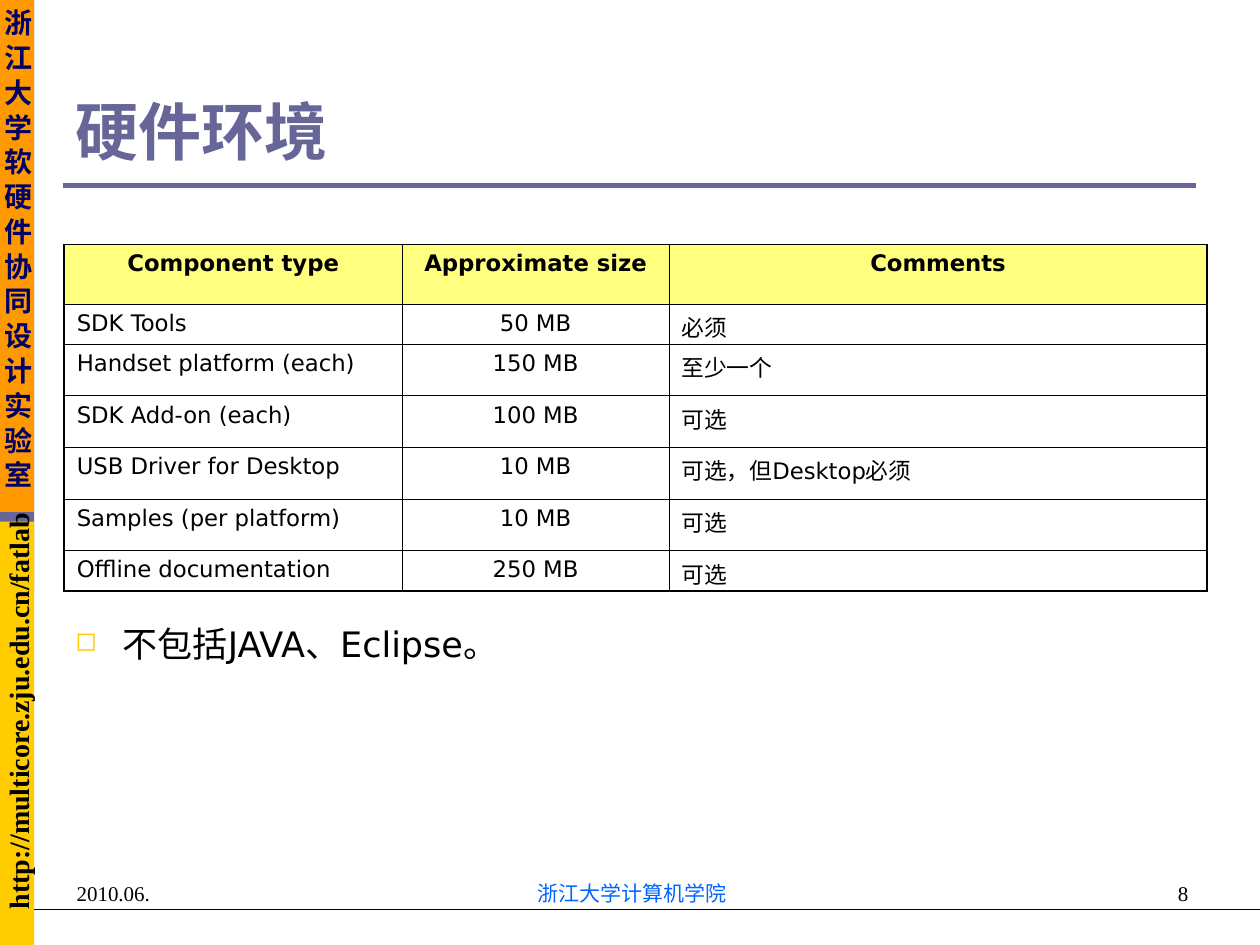
from lxml.etree import SubElement
from pptx import Presentation
from pptx.dml.color import RGBColor
from pptx.enum.shapes import MSO_CONNECTOR as Connector, MSO_SHAPE as Shape
from pptx.enum.text import MSO_ANCHOR as Anchor, PP_ALIGN as Align
from pptx.oxml import parse_xml
from pptx.oxml.ns import nsdecls, qn
from pptx.util import Pt

BLACK = RGBColor(0, 0, 0)
VIOLET = RGBColor(0x66, 0x66, 0x99)
GOLD = RGBColor(0xFF, 0xCC, 0x00)
ORANGE = RGBColor(0xFF, 0x99, 0x00)
NAVY = RGBColor(0, 0, 0x66)
BLUE = RGBColor(0, 0x66, 0xFF)
YELLOW = RGBColor(0xFF, 0xFF, 0)

SANS, SERIF = "DejaVu Sans", "Times New Roman"
INNER, OUTER = 0.45, 1.08
COLUMNS = [193, 152.6, 307.4]
ROWS = [34, 23, 29.5, 29.5, 29.5, 29.5, 23]
COMPONENTS = [
    ["Component type", "Approximate size", "Comments"],
    ["SDK Tools", "50 MB", "必须"],
    ["Handset platform (each)", "150 MB", "至少一个"],
    ["SDK Add-on (each)", "100 MB", "可选"],
    ["USB Driver for Desktop", "10 MB", "可选，但Desktop必须"],
    ["Samples (per platform)", "10 MB", "可选"],
    ["Offline documentation", "250 MB", "可选"],
]


def points(*values):
    """Convert numbers to lengths in points."""
    return [Pt(value) for value in values]


def write(frame, text, font, frame_format=None, align=Align.LEFT):
    """Put one formatted paragraph in a text frame and return it."""
    for name, value in (frame_format or {}).items():
        setattr(frame, name, value)
    para = frame.paragraphs[0]
    para.alignment = align
    span = para.add_run()
    span.text = text
    font = dict(font)
    span.font.color.rgb = font.pop("color", BLACK)
    for name, value in font.items():
        setattr(span.font, name, value)
    return para


def add_panel(page, place, color):
    """Add a plain filled rectangle."""
    panel = page.shapes.add_shape(Shape.RECTANGLE, *points(*place))
    panel.shadow.inherit = False
    panel.fill.solid()
    panel.fill.fore_color.rgb = color
    panel.line.fill.background()
    return panel


def add_rule(page, start, end, color, width):
    """Add a straight line."""
    rule = page.shapes.add_connector(Connector.STRAIGHT, *points(*start, *end))
    rule.line.color.rgb = color
    rule.line.width = Pt(width)
    SubElement(rule._element.spPr, qn("a:effectLst"))


def add_text(page, place, text, font, align=Align.LEFT, **frame_format):
    """Add a text box with one paragraph and return the box."""
    box = page.shapes.add_textbox(*points(*place))
    write(box.text_frame, text, font, {"word_wrap": True, **frame_format}, align)
    return box


def turn_text(shape, direction):
    """Set the writing direction of a shape's text."""
    shape.text_frame._txBody.bodyPr.set("vert", direction)


def add_bullet(para, symbol, color, percent, indent):
    """Give a paragraph a hanging bullet."""
    properties = para._p.get_or_add_pPr()
    properties.set("marL", str(Pt(indent)))
    properties.set("indent", str(Pt(-indent)))
    bullet_color = SubElement(properties, qn("a:buClr"))
    SubElement(bullet_color, qn("a:srgbClr"), val=str(color))
    SubElement(properties, qn("a:buSzPct"), val=str(percent * 1000))
    SubElement(properties, qn("a:buChar"), char=symbol)


def set_borders(cell, widths):
    """Draw the left, right, top and bottom borders of a cell."""
    properties = cell._tc.get_or_add_tcPr()
    for side, width in zip("LRTB", widths):
        properties.append(parse_xml(
            f'<a:ln{side} {nsdecls("a")} w="{Pt(width)}"><a:solidFill>'
            f'<a:srgbClr val="{BLACK}"/></a:solidFill></a:ln{side}>'))


def fill_cell(cell, is_header):
    """Give a header cell half-transparent yellow and others no fill."""
    if not is_header:
        cell.fill.background()
        return
    cell.fill.solid()
    cell.fill.fore_color.rgb = YELLOW
    color = cell._tc.tcPr.find(qn("a:solidFill")).find(qn("a:srgbClr"))
    SubElement(color, qn("a:alpha"), val="50000")


def add_components(page):
    """Add the table of component sizes."""
    place = points(36.7, 139.7, sum(COLUMNS), sum(ROWS))
    table = page.shapes.add_table(len(ROWS), len(COLUMNS), *place).table
    table.first_row = table.horz_banding = False
    for column, width in zip(table.columns, COLUMNS):
        column.width = Pt(width)
    last_row, last_column = len(ROWS) - 1, len(COLUMNS) - 1
    for row, height in enumerate(ROWS):
        table.rows[row].height = Pt(height)
        for column, text in enumerate(COMPONENTS[row]):
            cell = table.cell(row, column)
            is_header = row == 0
            edges = [column == 0, column == last_column, is_header, row == last_row]
            set_borders(cell, [OUTER if edge else INNER for edge in edges])
            fill_cell(cell, is_header)
            align = Align.CENTER if is_header or column == 1 else Align.LEFT
            font = {"name": SANS, "size": Pt(13), "bold": is_header}
            write(cell.text_frame, text, font, align=align)


def add_sidebar(page):
    """Add the coloured side strip with the laboratory name and address."""
    add_panel(page, (0, 0, 19.6, 337.7), VIOLET)
    add_panel(page, (0, 298, 19.6, 242), GOLD)
    add_rule(page, (36, 105.8), (683.3, 105.8), VIOLET, 3)
    banner = add_panel(page, (0, -2, 19.6, 294.5), ORANGE)
    margins = dict(margin_left=Pt(3.6), margin_right=Pt(3.6),
                   margin_top=Pt(7.2), margin_bottom=Pt(7.2))
    font = {"name": "League Spartan", "size": Pt(16), "bold": True, "color": NAVY}
    write(banner.text_frame, "浙 江 大 学 软 硬 件 协 同 设 计 实 验 室", font,
          {"word_wrap": False, "vertical_anchor": Anchor.MIDDLE, **margins},
          Align.CENTER)
    turn_text(banner, "eaVert")
    add_rule(page, (19.6, 519.6), (720, 519.6), BLACK, 0.75)
    address = add_text(page, (0.7, 287.3, 19.6, 238.3),
                       "http://multicore.zju.edu.cn/fatlab",
                       {"name": SERIF, "size": Pt(16), "bold": True},
                       Align.CENTER, **dict.fromkeys(margins, 0))
    turn_text(address, "vert270")


def add_footer(page):
    """Add the date, school and page number."""
    for left, width, text, align, color in [
        (247, 228, "浙江大学计算机学院", Align.CENTER, BLUE),
        (518.4, 167.8, "8", Align.RIGHT, BLACK),
        (36.7, 167.8, "2010.06.", Align.LEFT, BLACK),
    ]:
        font = {"name": SERIF, "size": Pt(12), "color": color}
        add_text(page, (left, 485.3, width, 36), text, font, align,
                 vertical_anchor=Anchor.BOTTOM)


def main():
    """Build the hardware environment slide."""
    deck = Presentation()
    deck.slide_width, deck.slide_height = points(720, 540)
    page = deck.slides.add_slide(deck.slide_layouts[6])
    add_sidebar(page)
    add_text(page, (36, 21.6, 648, 77.8), "硬件环境",
             {"name": "Montserrat", "size": Pt(36), "bold": True, "color": VIOLET},
             vertical_anchor=Anchor.BOTTOM)
    note = add_text(page, (36, 352, 647.3, 130), "不包括JAVA、Eclipse。",
                    {"name": SANS, "size": Pt(20)})
    add_bullet(note.text_frame.paragraphs[0], "◻", GOLD, 75, 27)
    add_components(page)
    add_footer(page)
    deck.save("out.pptx")


if __name__ == "__main__":
    main()
